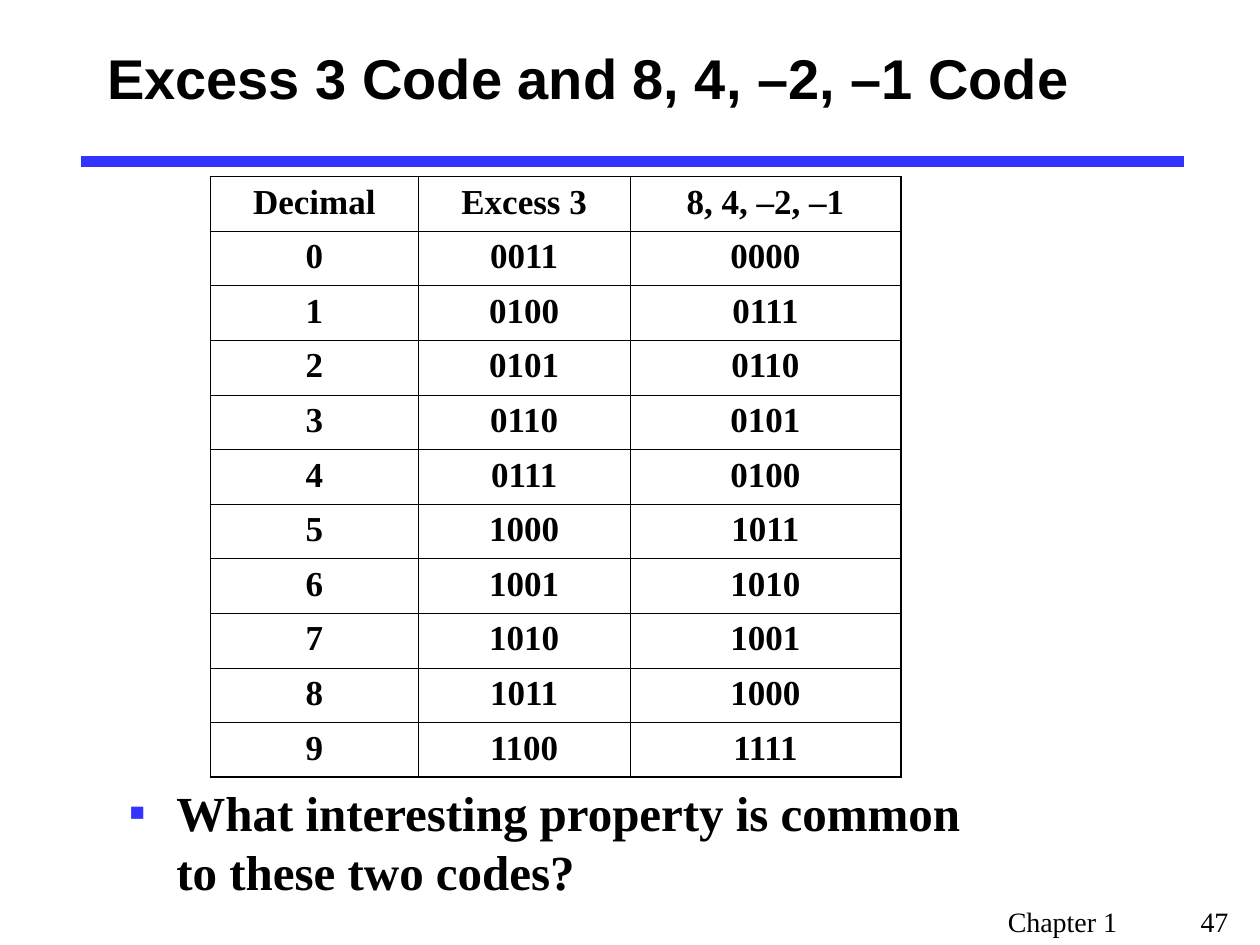
from dataclasses import dataclass

from lxml.etree import SubElement
from pptx import Presentation
from pptx.dml.color import RGBColor
from pptx.enum.shapes import MSO_CONNECTOR as Connector
from pptx.enum.text import MSO_ANCHOR as Anchor, MSO_AUTO_SIZE as AutoSize, PP_ALIGN as Align
from pptx.oxml.ns import qn
from pptx.util import Inches, Pt


@dataclass(frozen=True)
class Theme:
    ink: str = "000000"
    accent: str = "3333FF"
    heading_font: str = "Arial"
    body_font: str = "Times New Roman"
    title_size: int = 32
    question_size: int = 28
    cell_size: int = 20
    footer_size: int = 16
    rule_width: float = 6
    outer_border: float = 1.08
    inner_border: float = 0.45


THEME = Theme()

CODES = [
    ("Decimal", "Excess 3", "8, 4, –2, –1"),
    ("0", "0011", "0000"),
    ("1", "0100", "0111"),
    ("2", "0101", "0110"),
    ("3", "0110", "0101"),
    ("4", "0111", "0100"),
    ("5", "1000", "1011"),
    ("6", "1001", "1010"),
    ("7", "1010", "1001"),
    ("8", "1011", "1000"),
    ("9", "1100", "1111"),
]
COLUMN_WIDTHS = (1.65, 1.68, 2.15)


def write(frame, text, font, size, bold=True, align=Align.LEFT):
    """Put one formatted paragraph in a text frame."""
    para = frame.paragraphs[0]
    para.text = text
    for name, value in {"alignment": align, "space_before": Pt(0)}.items():
        setattr(para, name, value)
    span = para.runs[0]
    for name, value in {"name": font, "size": Pt(size), "bold": bold}.items():
        setattr(span.font, name, value)
    span.font.color.rgb = RGBColor.from_string(THEME.ink)
    return para


def place(shape, box, anchor=Anchor.TOP):
    """Move a shape to its box and fix how its text sits."""
    for name, value in zip(("left", "top", "width", "height"), box):
        setattr(shape, name, Inches(value))
    settings = {"word_wrap": True, "auto_size": AutoSize.NONE, "vertical_anchor": anchor}
    for name, value in settings.items():
        setattr(shape.text_frame, name, value)
    return shape.text_frame


def add_title(page, box):
    frame = place(page.shapes.title, box, Anchor.MIDDLE)
    write(frame, "Excess 3 Code and 8, 4, –2, –1 Code", THEME.heading_font, THEME.title_size)


def add_rule(page, left, top, width):
    rule = page.shapes.add_connector(
        Connector.STRAIGHT, Inches(left), Inches(top), Inches(left + width), Inches(top))
    rule.line.color.rgb = RGBColor.from_string(THEME.accent)
    rule.line.width = Pt(THEME.rule_width)
    SubElement(rule._element.spPr, qn("a:effectLst"))


def add_border(cell, side, width):
    line = SubElement(cell._tc.get_or_add_tcPr(), qn(f"a:ln{side}"), w=str(Pt(width)))
    fill = SubElement(line, qn("a:solidFill"))
    SubElement(fill, qn("a:srgbClr"), val=THEME.ink)


def add_code_table(page, box):
    last_row, last_column = len(CODES) - 1, len(COLUMN_WIDTHS) - 1
    table = page.shapes.add_table(
        len(CODES), len(COLUMN_WIDTHS), *(Inches(length) for length in box)).table
    table.first_row = table.horz_banding = False
    for column, width in zip(table.columns, COLUMN_WIDTHS):
        column.width = Inches(width)
    for row, values in enumerate(CODES):
        for column, value in enumerate(values):
            cell = table.cell(row, column)
            write(cell.text_frame, value, THEME.body_font, THEME.cell_size, align=Align.CENTER)
            # Heavier lines run around the outside of the grid
            outside = {"L": column == 0, "R": column == last_column,
                       "T": row == 0, "B": row == last_row}
            for side, is_outer in outside.items():
                add_border(cell, side, THEME.outer_border if is_outer else THEME.inner_border)
            cell.fill.background()


def add_question(page, box):
    frame = place(page.placeholders[1], box)
    para = write(frame, "What interesting property is common to these two codes?",
                 THEME.body_font, THEME.question_size)
    # Square bullet with a hanging indent
    props = para._p.get_or_add_pPr()
    indent = Inches(0.38)
    props.set("marL", str(indent))
    props.set("indent", str(-indent))
    colour = SubElement(props, qn("a:buClr"))
    SubElement(colour, qn("a:srgbClr"), val=THEME.accent)
    SubElement(props, qn("a:buFont"), typeface=THEME.body_font)
    SubElement(props, qn("a:buChar"), char="▪")


def add_footer(page, box):
    shape = page.shapes.add_textbox(*(Inches(length) for length in box))
    para = write(place(shape, box), "Chapter 1\t47", THEME.body_font, THEME.footer_size, bold=False)
    # The page number starts at a tab stop
    tabs = SubElement(para._p.get_or_add_pPr(), qn("a:tabLst"))
    SubElement(tabs, qn("a:tab"), pos=str(Inches(1.53)), algn="l")


def main():
    deck = Presentation()
    deck.slide_width, deck.slide_height = Inches(10), Inches(7.5)
    page = deck.slides.add_slide(deck.slide_layouts[1])
    add_rule(page, 0.64, 1.28, 8.76)
    add_footer(page, (7.9, 7.13, 2.1, 0.37))
    add_question(page, (0.92, 6.16, 6.83, 1.05))
    add_title(page, (0.75, 0, 8.53, 1.23))
    add_code_table(page, (1.67, 1.4, 5.48, 4.77))
    deck.save("out.pptx")


if __name__ == "__main__":
    main()
